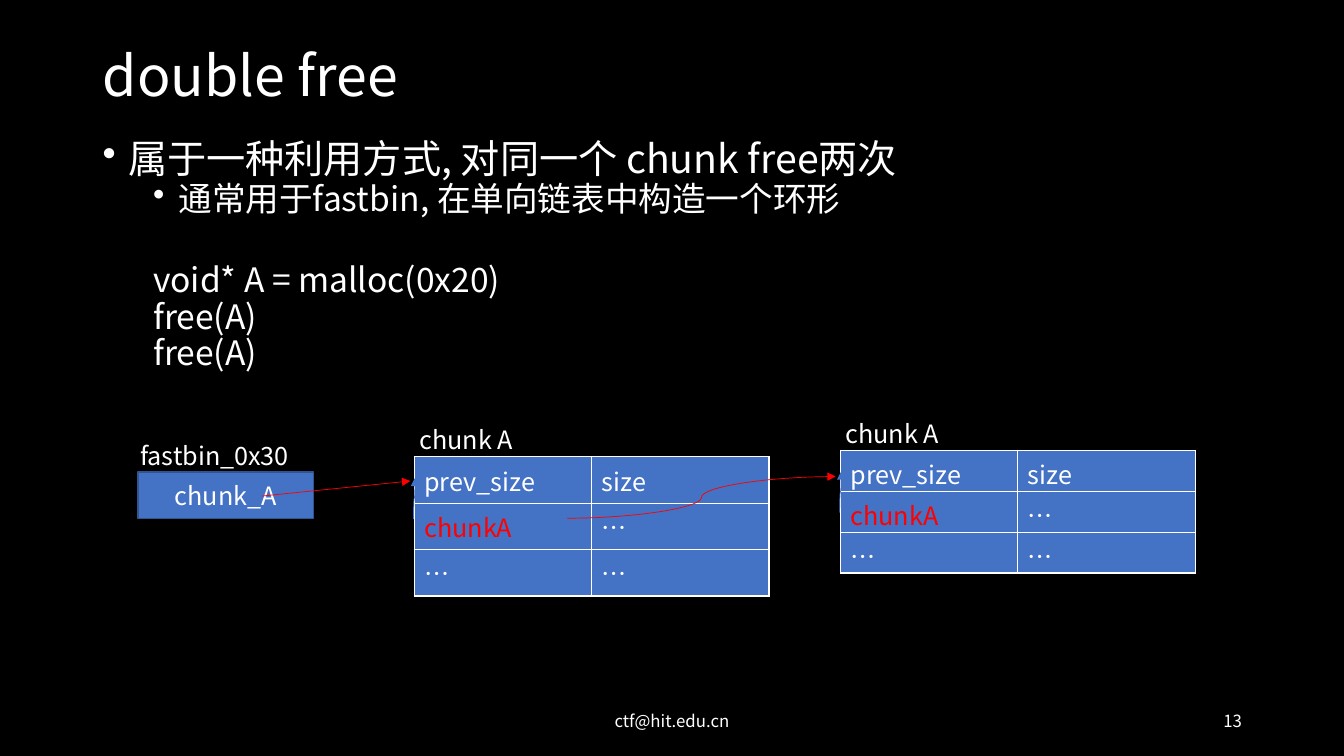
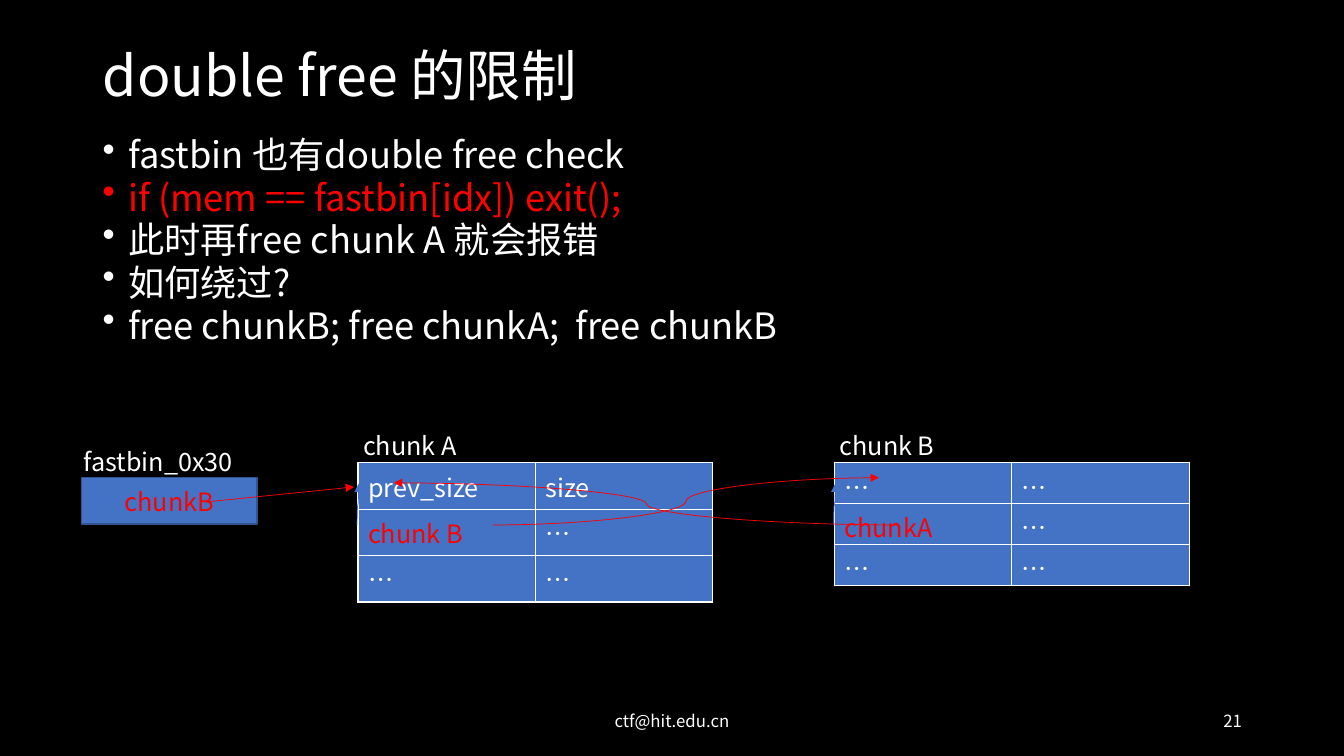
from dataclasses import dataclass

from lxml import etree
from pptx import Presentation
from pptx.dml.color import RGBColor
from pptx.enum import shapes, text
from pptx.oxml import ns
from pptx.util import Cm, Pt


@dataclass(frozen=True)
class Theme:
    font: str = "Noto Sans CJK SC"
    black: str = "000000"
    white: str = "FFFFFF"
    red: str = "FF0000"
    blue: str = "4472C4"
    edge: str = "325491"
    title: float = 39.6
    label: float = 18
    footer: float = 12


THEME = Theme()
FOOTER = "ctf@hit.edu.cn"
BULLET = dict(margin=0.64, hanging=0.64, bullet="•")
SUB_BULLET = dict(margin=1.91, hanging=0.64, bullet="•", size=24, before=3.3)
CODE = dict(margin=1.27, size=24, before=3.3)
POINT = dict(BULLET, size=25.9, before=8)

# Content: positions and sizes in centimetres
SLIDES = [
    dict(
        title="double free", number="13", spacing=0.8,
        body=[
            ("属于一种利用方式, 对同一个 chunk free两次", dict(BULLET, size=28)),
            ("通常用于fastbin, 在单向链表中构造一个环形", SUB_BULLET),
            ("void* A = malloc(0x20)", dict(CODE, before=34.3)),
            ("free(A)", CODE),
            ("free(A)", CODE),
        ],
        bin=dict(at=(3.48, 11.89), value="chunk_A", color=THEME.white),
        chunks=[
            dict(name="chunk A", at=(10.44, 11.51), row=1.17,
                 cells=[("prev_size", "size"), ("chunkA", "…"), ("…", "…")]),
            dict(name="chunk A", at=(21.18, 11.35), row=1.03,
                 cells=[("prev_size", "size"), ("chunkA", "…"), ("…", "…")]),
        ],
        links=[((14.3, 13.06), (21.06, 12.01))],
    ),
    dict(
        title="double free 的限制", number="21", spacing=0.72,
        body=[
            ("fastbin 也有double free check", POINT),
            ("if (mem == fastbin[idx]) exit();", dict(POINT, color=THEME.red)),
            ("此时再free chunk A 就会报错", POINT),
            ("如何绕过?", POINT),
            ("free chunkB; free chunkA;  free chunkB", POINT),
        ],
        bin=dict(at=(2.06, 12.04), value="chunkB", color=THEME.red),
        chunks=[
            dict(name="chunk A", at=(9.02, 11.66), row=1.17,
                 cells=[("prev_size", "size"), ("chunk B", "…"), ("…", "…")]),
            dict(name="chunk B", at=(21.03, 11.66), row=1.03,
                 cells=[("…", "…"), ("chunkA", "…"), ("…", "…")]),
        ],
        links=[((12.42, 13.23), (22.15, 12.04)), ((22.66, 13.23), (9.93, 12.17))],
    ),
]


# Text
def add_xml(parent, tag, **attributes):
    return etree.SubElement(parent, ns.qn(tag), attributes)


def write(para, words, size=THEME.label, color=THEME.white, align=None,
          spacing=None, before=0, margin=0, hanging=0, bullet=None):
    para.alignment = align
    para.line_spacing = spacing
    para.space_before = Pt(before)
    props = para._p.get_or_add_pPr()
    props.set("marL", str(Cm(margin)))
    props.set("indent", str(-Cm(hanging)))
    if bullet:
        add_xml(props, "a:buChar", char=bullet)
    span = para.add_run()
    span.text = words
    span.font.name = THEME.font
    span.font.size = Pt(size)
    span.font.bold = False
    span.font.color.rgb = RGBColor.from_string(color)
    add_xml(span._r.get_or_add_rPr(), "a:ea", typeface=THEME.font)


def add_text(page, left, top, width, height, lines,
             anchor=text.MSO_ANCHOR.TOP, **shared):
    box = page.shapes.add_textbox(Cm(left), Cm(top), Cm(width), Cm(height))
    frame = box.text_frame
    frame.word_wrap = True
    frame.vertical_anchor = anchor
    for index, (words, style) in enumerate(lines):
        para = frame.add_paragraph() if index else frame.paragraphs[0]
        first = {} if index else {"before": 0}
        write(para, words, **{**shared, **style, **first})


# Lines and arrows
def add_arrow(page, start, end, color=THEME.red,
              kind=shapes.MSO_CONNECTOR.CURVE, quarter_turn=False):
    ends = [Cm(value) for value in (*start, *end)]
    arrow = page.shapes.add_connector(kind, *ends)
    arrow.line.width = Pt(0.5)
    arrow.line.color.rgb = RGBColor.from_string(color)
    add_xml(arrow.line._get_or_add_ln(), "a:tailEnd", type="triangle")
    props = arrow._element.spPr
    add_xml(props, "a:effectLst")
    if quarter_turn:
        props.find(ns.qn("a:xfrm")).set("rot", "5400000")


def add_borders(cell):
    props = cell._tc.get_or_add_tcPr()
    for index, side in enumerate("LRTB"):
        line = etree.Element(ns.qn(f"a:ln{side}"), w=str(Pt(1)))
        fill = add_xml(line, "a:solidFill")
        add_xml(fill, "a:srgbClr", val=THEME.white)
        props.insert(index, line)


# Heap diagram
def add_bin(page, at, value, color):
    left, top = at
    box = page.shapes.add_shape(shapes.MSO_SHAPE.RECTANGLE,
                                Cm(left), Cm(top), Cm(4.42), Cm(1.17))
    box.shadow.inherit = False
    box.fill.solid()
    box.fill.fore_color.rgb = RGBColor.from_string(THEME.blue)
    box.line.color.rgb = RGBColor.from_string(THEME.edge)
    box.line.width = Pt(1)
    box.text_frame.vertical_anchor = text.MSO_ANCHOR.MIDDLE
    write(box.text_frame.paragraphs[0], value, color=color,
          align=text.PP_ALIGN.CENTER)
    add_text(page, left - 0.2, top - 0.91, 4.6, 1.02, [("fastbin_0x30", {})])
    add_arrow(page, (left + 3.12, top + 0.61), (left + 6.86, top + 0.23),
              kind=shapes.MSO_CONNECTOR.STRAIGHT)


def add_chunk(page, name, at, row, cells):
    left, top = at
    column = 4.47
    table = page.shapes.add_table(
        len(cells), len(cells[0]), Cm(left), Cm(top),
        Cm(column * len(cells[0])), Cm(row * len(cells))).table
    table.first_row = table.horz_banding = False
    for r, values in enumerate(cells):
        table.rows[r].height = Cm(row)
        for c, value in enumerate(values):
            table.columns[c].width = Cm(column)
            cell = table.cell(r, c)
            cell.margin_bottom = 0
            cell.fill.solid()
            cell.fill.fore_color.rgb = RGBColor.from_string(THEME.blue)
            add_borders(cell)
            pointer = value.startswith("chunk")
            write(cell.text_frame.paragraphs[0], value,
                  color=THEME.red if pointer else THEME.white)
    add_text(page, left - 0.12, top - 0.94, 4.6, 1.02, [(name, {})])
    # Short arrow up the left edge, drawn level and then turned
    middle, half = top + 1.05, 0.52
    add_arrow(page, (left + half, middle + 0.02), (left - half, middle - 0.02),
              color=THEME.blue, quarter_turn=True)


def add_page(deck, content):
    page = deck.slides.add_slide(deck.slide_layouts[6])
    page.background.fill.solid()
    page.background.fill.fore_color.rgb = RGBColor.from_string(THEME.black)
    middle = text.MSO_ANCHOR.MIDDLE
    add_text(page, 2.34, 1.02, 29.21, 1.91, [(content["title"], {})],
             anchor=middle, size=THEME.title, spacing=0.9)
    add_text(page, 2.34, 3.5, 29.21, 6.35, content["body"],
             spacing=content["spacing"])
    add_text(page, 11.22, 17.65, 11.43, 1.02, [(FOOTER, {})], anchor=middle,
             size=THEME.footer, align=text.PP_ALIGN.CENTER)
    add_text(page, 23.93, 17.65, 7.62, 1.02, [(content["number"], {})],
             anchor=middle, size=THEME.footer, align=text.PP_ALIGN.RIGHT)
    add_bin(page, **content["bin"])
    for chunk in content["chunks"]:
        add_chunk(page, **chunk)
    for start, end in content["links"]:
        add_arrow(page, start, end)


def main():
    deck = Presentation()
    deck.slide_width, deck.slide_height = Cm(33.87), Cm(19.05)
    for content in SLIDES:
        add_page(deck, content)
    deck.save("out.pptx")


if __name__ == "__main__":
    main()
